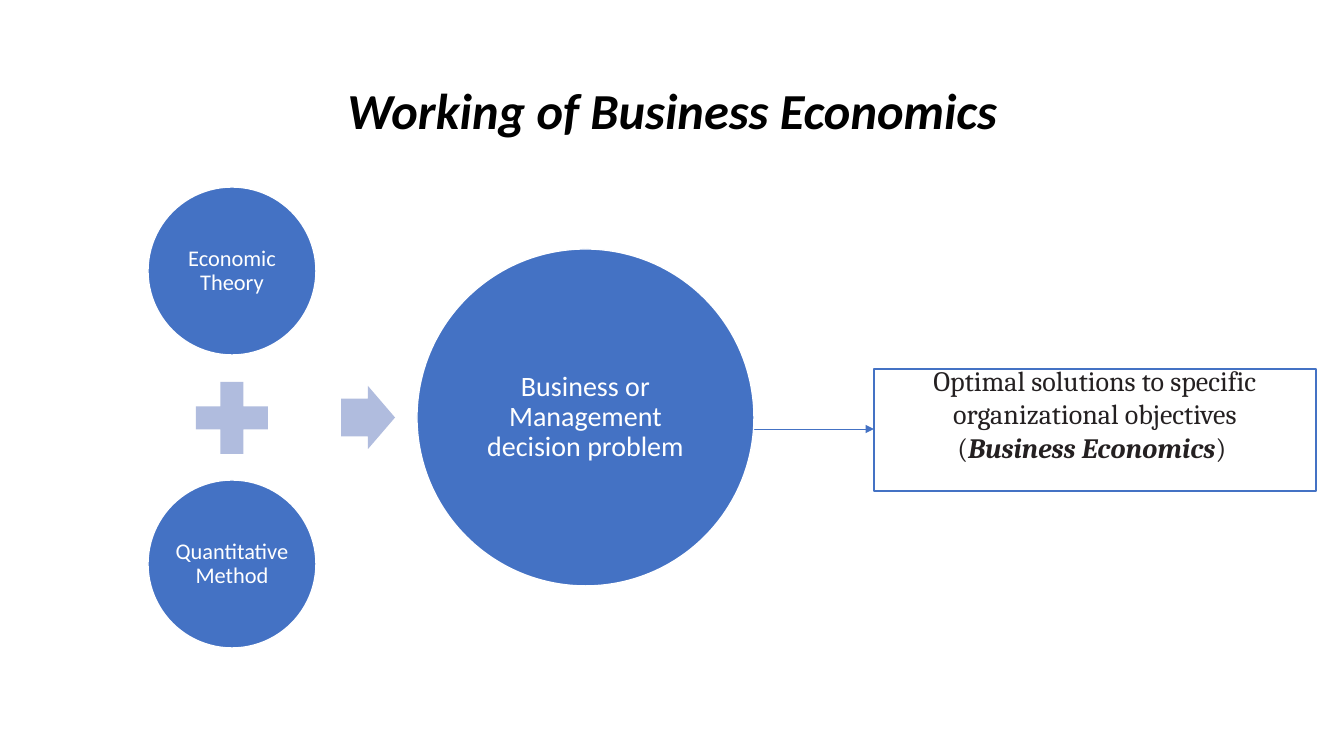
from dataclasses import dataclass
from typing import Any

from lxml import etree
from pptx import Presentation, util as u
from pptx.dml.color import RGBColor
from pptx.enum import shapes, text
from pptx.oxml import ns

Kind = shapes.MSO_SHAPE


@dataclass(frozen=True)
class Theme:
    """Colours, fonts and type sizes."""
    blue: str = "4472C4"
    pale: str = "B0BCDE"
    white: str = "FFFFFF"
    black: str = "000000"
    ink: str = "242021"
    sans: str = "Calibri"
    serif: str = "Cambria"
    head: int = 36
    body: int = 20
    small: int = 16


@dataclass(frozen=True)
class Disc:
    """A labelled circle."""
    x: int
    y: int
    size: int
    label: str
    pt: int
    inset: int


@dataclass(frozen=True)
class Sign:
    """An unlabelled plus or arrow."""
    kind: Any
    x: int
    y: int
    w: int
    h: int


T = Theme()
SCALE = 914400 / 100.8
LEFT, TOP, SMALL, STEP = 148, 187, 168, 293

DISCS = [Disc(LEFT, TOP + i * STEP, SMALL, label, T.small, 2)
         for i, label in enumerate(("Economic Theory", "Quantitative Method"))]
DISCS.append(Disc(417, 249, 337, "Business or Management decision problem", T.body, 3))
SIGNS = [Sign(Kind.MATH_PLUS, 183, 369, 98, 98),
         Sign(Kind.RIGHT_ARROW, 341, 386, 54, 63)]


def px(n: float) -> u.Emu:
    """Turn pixels into EMU."""
    return u.Emu(round(n * SCALE))


def rgb(code: str) -> RGBColor:
    """Read a hex colour."""
    return RGBColor.from_string(code)


def style(par: Any, face: str, pt: int, tint: str, gap: float = 1.0) -> None:
    """Centre a paragraph and set its font."""
    par.alignment = text.PP_ALIGN.CENTER
    par.line_spacing = gap
    par.font.name, par.font.size = face, u.Pt(pt)
    par.font.color.rgb = rgb(tint)


def frame(shape: Any, *pads: int) -> Any:
    """Wrap text, anchor it in the middle and pad left, top, right, bottom."""
    tf = shape.text_frame
    tf.word_wrap = True
    tf.vertical_anchor = text.MSO_ANCHOR.MIDDLE
    tf.margin_left, tf.margin_top, tf.margin_right, tf.margin_bottom = map(px, pads)
    return tf


def block(slide: Any, kind: Any, at: tuple[int, int, int, int],
          fill: str, edge: str = "") -> Any:
    """Draw a filled preset shape, with an edge if a colour is given."""
    shape = slide.shapes.add_shape(kind, *map(px, at))
    shape.shadow.inherit = False
    shape.fill.solid()
    shape.fill.fore_color.rgb = rgb(fill)
    if edge:
        shape.line.color.rgb = rgb(edge)
        shape.line.width = u.Pt(1)
    else:
        shape.line.fill.background()
    return shape


def title(slide: Any) -> None:
    """Write the heading."""
    box = slide.shapes.add_textbox(*map(px, (93, 40, 1159, 146)))
    par = frame(box, 10, 5, 10, 5).paragraphs[0]
    par.text = "Working of Business Economics"
    style(par, T.sans, T.head, T.black, 0.9)
    par.font.bold = par.font.italic = True


def link(slide: Any) -> None:
    """Draw the arrow that leads to the result."""
    line = slide.shapes.add_connector(
        shapes.MSO_CONNECTOR.STRAIGHT, *map(px, (628, 429, 874, 429)))
    line.line.color.rgb = rgb(T.blue)
    line.line.width = u.Pt(0.5)
    etree.SubElement(line.line._get_or_add_ln(), ns.qn("a:tailEnd"), type="triangle")
    etree.SubElement(line._element.spPr, ns.qn("a:effectLst"))


def result(slide: Any) -> None:
    """Draw the box with the outcome."""
    box = block(slide, Kind.RECTANGLE, (874, 369, 442, 122), T.white, T.blue)
    tf = frame(box, 10, 0, 10, 33)
    goal, name = tf.paragraphs[0], tf.add_paragraph()
    goal.text = "Optimal solutions to specific\vorganizational objectives"
    for part in ("(", "Business Economics", ") "):
        run = name.add_run()
        run.text = part
        if part[0].isalpha():
            run.font.bold = run.font.italic = True
    for par in (goal, name):
        style(par, T.serif, T.body, T.ink)


def disc(slide: Any, d: Disc) -> None:
    """Draw a circle with its label."""
    shape = block(slide, Kind.OVAL, (d.x, d.y, d.size, d.size), T.blue, T.white)
    par = frame(shape, *[d.inset] * 4).paragraphs[0]
    par.text = d.label
    style(par, T.sans, d.pt, T.white, 0.9)


def sign(slide: Any, s: Sign) -> None:
    """Draw a plus or an arrow."""
    shape = block(slide, s.kind, (s.x, s.y, s.w, s.h), T.pale)
    if s.kind == Kind.RIGHT_ARROW:
        shape.adjustments[0] = 0.6


def main() -> None:
    """Build and save the slide."""
    deck = Presentation()
    deck.slide_width, deck.slide_height = px(1344), px(756)
    slide = deck.slides.add_slide(deck.slide_layouts[6])
    title(slide)
    link(slide)
    result(slide)
    for d in DISCS:
        disc(slide, d)
    for s in SIGNS:
        sign(slide, s)
    deck.save("out.pptx")


main()
